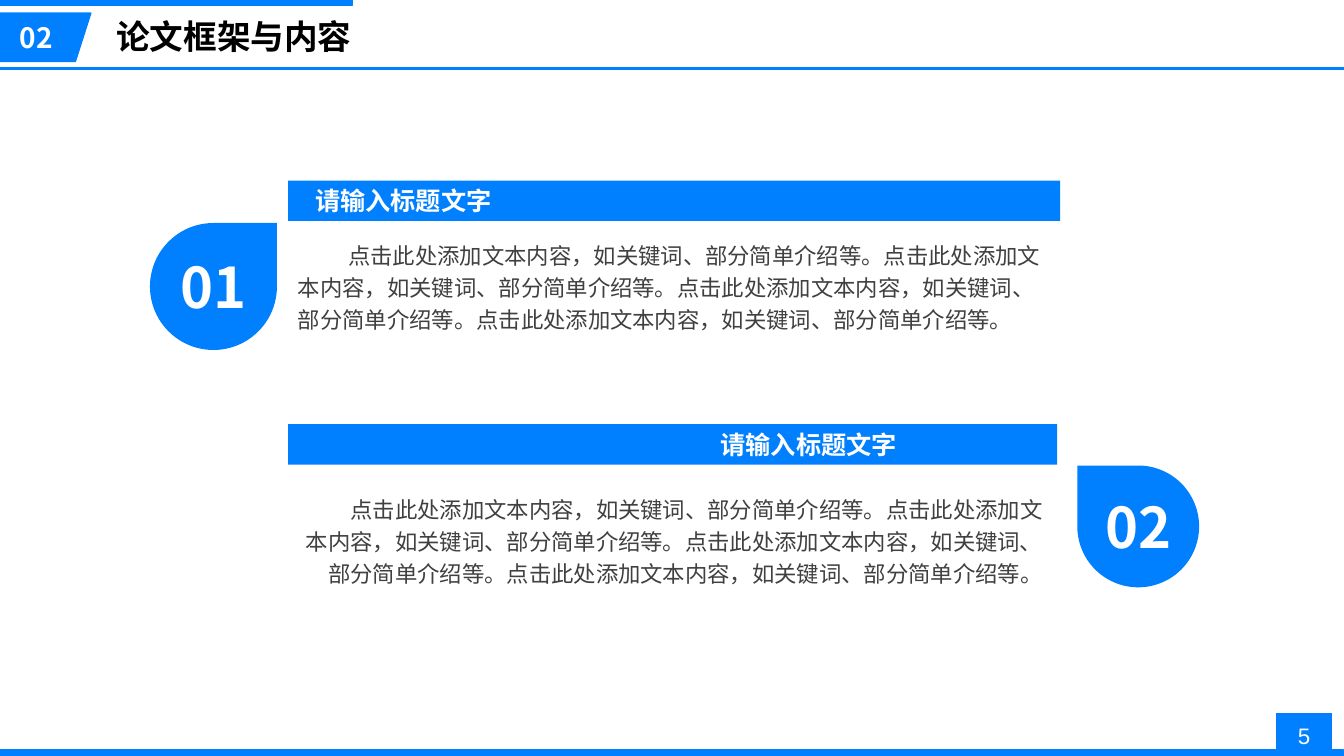
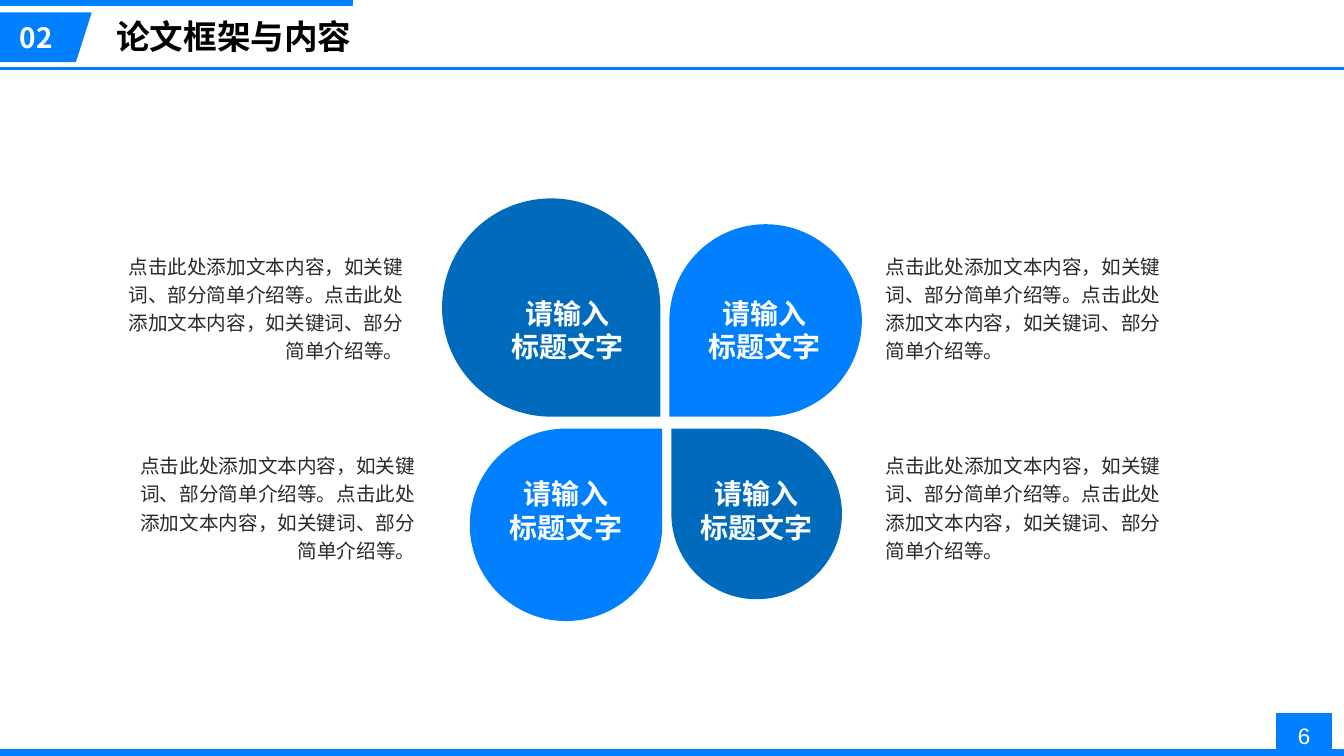
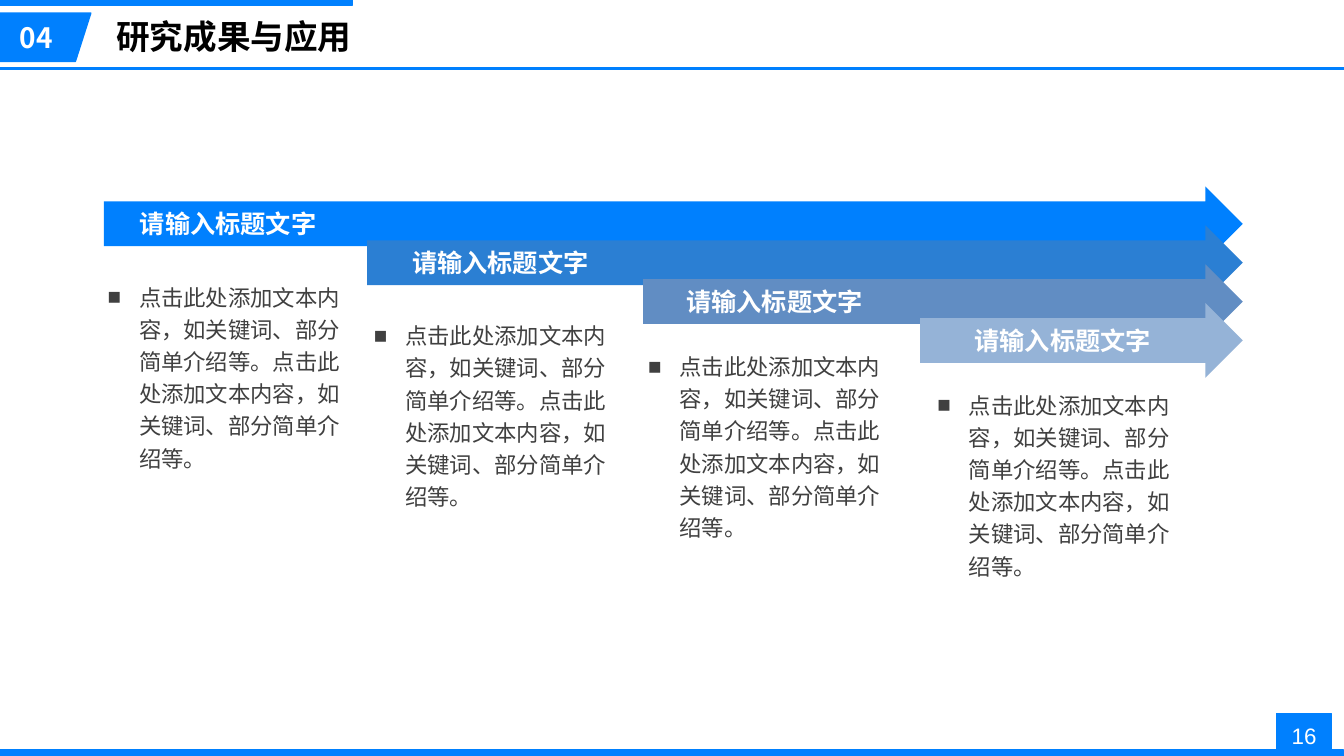
"""Build three thesis slides: two framework pages and one results page."""
from lxml import etree
from pptx import Presentation
from pptx.dml.color import RGBColor
from pptx.enum.shapes import MSO_CONNECTOR, MSO_SHAPE
from pptx.enum.text import MSO_ANCHOR, MSO_AUTO_SIZE, PP_ALIGN
from pptx.oxml.ns import qn
from pptx.util import Cm, Pt

RECT, TEAR, ARROW = MSO_SHAPE.RECTANGLE, MSO_SHAPE.TEAR, MSO_SHAPE.RIGHT_ARROW
STRAIGHT = MSO_CONNECTOR.STRAIGHT
LEFT, MID, RIGHT = PP_ALIGN.LEFT, PP_ALIGN.CENTER, PP_ALIGN.RIGHT
TOP, CENTER = MSO_ANCHOR.TOP, MSO_ANCHOR.MIDDLE
FIXED = MSO_AUTO_SIZE.NONE

BLUE = RGBColor(0x00, 0x80, 0xFE)
DEEP = RGBColor(0x00, 0x6B, 0xBC)
STEEL = RGBColor(0x2B, 0x7F, 0xD3)
SLATE = RGBColor(0x61, 0x8D, 0xC3)
PALE = RGBColor(0x95, 0xB3, 0xD7)
WHITE = RGBColor(0xFF, 0xFF, 0xFF)
BLACK = RGBColor(0x00, 0x00, 0x00)
GREY = RGBColor(0x40, 0x40, 0x40)
DARK = RGBColor(0x29, 0x29, 0x29)
HAN, LATIN = "Noto Sans CJK SC", "Arial"

WIDTH, HEIGHT = 33.87, 19.05
TITLE_ONLY, FOUR_BODY = 5, 4

FRAME = ("02", "论文框架与内容")
RESULT = ("04", "研究成果与应用")
HEAD = "请输入标题文字"
SPLIT = "请输入\n标题文字"
NOTE = "点击此处添加文本内容，如关键词、部分简单介绍等。" * 2

TOPICS = [
    dict(num="01", bar=(7.26, 4.55, 19.46, 1.02), inset=0.68,
         drop=(3.78, 5.62, 3.2), turn=0,
         note=(7.26, 5.84, 19.58, 2.72), align=LEFT),
    dict(num="02", bar=(7.26, 10.69, 19.38, 1.02), inset=10.9,
         drop=(27.15, 11.73, 3.07), turn=270,
         note=(7.26, 12.24, 19.28, 2.72), align=RIGHT),
]

PETALS = [
    dict(tip=(16.64, 10.5), size=5.5, turn=90, color=DEEP,
         head=(11.89, 7.34), note=(2.72, 6.17), align=RIGHT),
    dict(tip=(16.87, 10.5), size=4.85, turn=180, color=BLUE,
         head=(16.84, 7.34), note=(22.07, 6.17), align=LEFT),
    dict(tip=(16.69, 10.8), size=4.85, turn=0, color=BLUE,
         head=(11.84, 11.89), note=(3.02, 11.2), align=RIGHT),
    dict(tip=(16.92, 10.8), size=4.3, turn=270, color=DEEP,
         head=(16.64, 11.89), note=(22.07, 11.2), align=LEFT),
]

STEPS = [
    dict(left=2.62, color=BLUE, head=3.07, note=(2.46, 6.35)),
    dict(left=9.25, color=STEEL, head=9.93, note=(9.17, 7.32)),
    dict(left=16.21, color=SLATE, head=16.84, note=(16.08, 8.1)),
    dict(left=23.19, color=PALE, head=24.1, note=(23.37, 9.07)),
]
STEP_TOP, STEP_GAP, STEP_END, STEP_TALL = 4.7, 0.98, 31.32, 1.88


def write(shape, text, size, color, bold=False, align=MID, anchor=TOP,
          lead=1.0, font=HAN):
    """Fill a shape with formatted text."""
    frame = shape.text_frame
    frame.text = text
    frame.word_wrap = True
    frame.vertical_anchor = anchor
    for para in frame.paragraphs:
        para.alignment = align
        para.line_spacing = lead
        para.space_before = Pt(0)
        for run in para.runs:
            run.font.size = Pt(size)
            run.font.bold = bold
            run.font.color.rgb = color
            run.font.name = font
            etree.SubElement(run.font._element, qn("a:ea"), typeface=HAN)
    return frame


def label(slide, box, text, size, color, **style):
    """Add a text box."""
    shape = slide.shapes.add_textbox(*map(Cm, box))
    return write(shape, text, size, color, **style)


def paint(shape, color, edge=0):
    """Give a shape a flat fill and an optional line of the same colour."""
    shape.shadow.inherit = False
    shape.fill.solid()
    shape.fill.fore_color.rgb = color
    if edge:
        shape.line.color.rgb = color
        shape.line.width = Pt(edge)
    else:
        shape.line.fill.background()
    return shape


def block(slide, kind, box, color, edge=0):
    """Add a flat preset shape."""
    return paint(slide.shapes.add_shape(kind, *map(Cm, box)), color, edge)


def place(shape, box):
    """Move a placeholder and stop it from shrinking its text."""
    shape.left, shape.top, shape.width, shape.height = map(Cm, box)
    shape.text_frame.auto_size = FIXED
    return shape


def start(deck, layout, part, page):
    """Add a slide with the shared title, bands and page number."""
    slide = deck.slides.add_slide(deck.slide_layouts[layout])
    num, title = part
    write(place(slide.shapes.title, (2.62, 0.28, 6.55, 1.27)), title, 24,
          BLACK, bold=True, anchor=CENTER)
    tab = block(slide, RECT, (32.18, 17.98, 1.37, 1.09), BLUE, 0.75)
    write(tab, str(page), 16, WHITE, anchor=CENTER, font=LATIN)
    block(slide, RECT, (0, 18.9, WIDTH, 0.15), BLUE, 0.75)
    block(slide, RECT, (0, 0, 8.89, 0.13), BLUE, 1)
    rule = slide.shapes.add_connector(
        STRAIGHT, Cm(0), Cm(1.73), Cm(WIDTH), Cm(1.73))
    rule.line.color.rgb = BLUE
    rule.line.width = Pt(2)
    etree.SubElement(rule._element.spPr, qn("a:effectLst"))
    pen = slide.shapes.build_freeform(Cm(0), Cm(0.33))
    pen.add_line_segments([(Cm(2.29), Cm(0.33)), (Cm(1.9), Cm(1.55)),
                           (Cm(0), Cm(1.55))])
    paint(pen.convert_to_shape(), BLUE, 1)
    label(slide, (0, 0.38, 1.83, 1.12), num, 20, WHITE, bold=True)
    return slide


def topics(deck):
    """Two numbered topics."""
    slide = start(deck, TITLE_ONLY, FRAME, 5)
    for item in TOPICS:
        left, top, size = item["drop"]
        square = (left, top, size, size)
        block(slide, TEAR, square, BLUE).rotation = item["turn"]
        label(slide, square, item["num"], 40, WHITE, bold=True, anchor=CENTER)
        note = label(slide, item["note"], NOTE * 2, 16, GREY,
                     align=item["align"], lead=1.2, font=LATIN)
        pad = note.paragraphs[0]._p.get_or_add_pPr()
        pad.set("indent", str(Cm(1.27)))
        bar = block(slide, RECT, item["bar"], BLUE)
        frame = write(bar, HEAD, 18, WHITE, bold=True, align=LEFT,
                      anchor=CENTER)
        frame.margin_left = Cm(item["inset"])


def petals(deck):
    """Four petals around a centre, each with a note."""
    slide = start(deck, TITLE_ONLY, FRAME, 6)
    for item in PETALS:
        (left, top), size, turn = item["tip"], item["size"], item["turn"]
        left -= size if turn in (0, 90) else 0
        top -= size if turn in (90, 180) else 0
        drop = block(slide, TEAR, (left, top, size, size), item["color"])
        drop.rotation = turn
        label(slide, (*item["head"], 4.85, 1.96), SPLIT, 20, WHITE, bold=True)
        label(slide, (*item["note"], 7.7, 3.07), NOTE, 14, DARK,
              align=item["align"], lead=1.2)


def steps(deck):
    """Four stepped arrows, each with a bulleted note."""
    slide = start(deck, FOUR_BODY, RESULT, 16)
    bodies = list(slide.placeholders)[1:]
    for row, (item, body) in enumerate(zip(STEPS, bodies)):
        top, left = STEP_TOP + row * STEP_GAP, item["left"]
        arrow = block(slide, ARROW, (left, top, STEP_END - left, STEP_TALL),
                      item["color"])
        arrow.adjustments[0] = 0.6
        label(slide, (item["head"], top + 0.43, 5.36, 1.02), HEAD, 18, WHITE,
              bold=True)
        place(body, (*item["note"], 6.86, 6.2))
        frame = write(body, NOTE, 16, GREY, align=LEFT, anchor=CENTER,
                      lead=1.2)
        mark = frame.paragraphs[0]._p.get_or_add_pPr()
        mark.set("marL", str(Cm(0.79)))
        mark.set("indent", str(-Cm(0.79)))
        etree.SubElement(mark, qn("a:buChar"), char="■")


def main():
    """Build and save the deck."""
    deck = Presentation()
    deck.slide_width, deck.slide_height = Cm(WIDTH), Cm(HEIGHT)
    for build in (topics, petals, steps):
        build(deck)
    deck.save("out.pptx")


if __name__ == "__main__":
    main()
